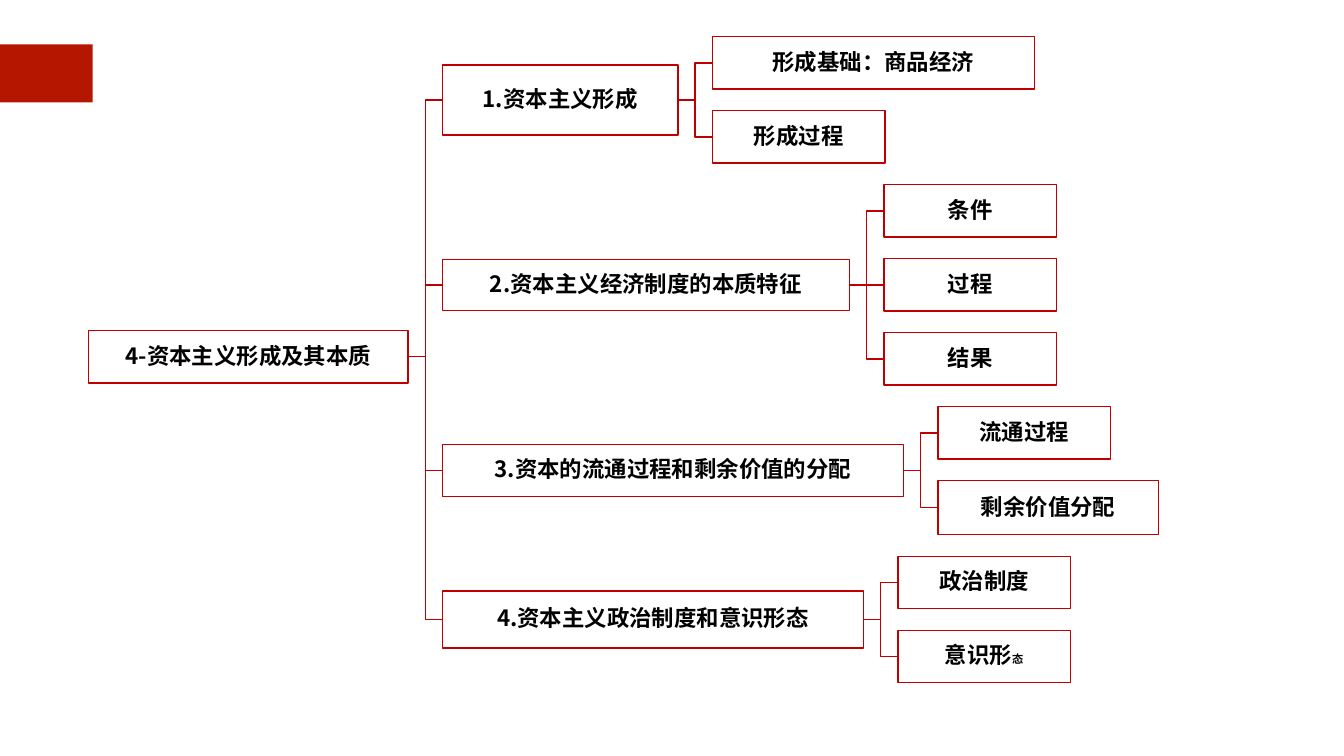
from lxml import etree
from pptx import Presentation
from pptx.dml.color import RGBColor
from pptx.enum.shapes import MSO_CONNECTOR, MSO_SHAPE
from pptx.enum.text import MSO_ANCHOR, PP_ALIGN
from pptx.oxml.ns import qn
from pptx.util import Cm, Pt

RECTANGLE = MSO_SHAPE.RECTANGLE
ELBOW, STRAIGHT = MSO_CONNECTOR.ELBOW, MSO_CONNECTOR.STRAIGHT
MIDDLE, CENTER = MSO_ANCHOR.MIDDLE, PP_ALIGN.CENTER
BANNER_RED = RGBColor(0xB5, 0x16, 0x00)
LINE_RED = RGBColor(0xC0, 0x00, 0x00)
WHITE = RGBColor(0xFF, 0xFF, 0xFF)
BLACK = RGBColor(0x00, 0x00, 0x00)
FONT = "Noto Sans CJK SC"

# Tree measures in centimetres
ROOT_LEFT, ROOT_MIDDLE, ROOT_WIDTH = 4.47, 17.98, 16.1
TOP = 1.85
COLUMN_GAP, ROW_GAP = 1.74, 1.09
HEIGHT, LEAF_WIDTH = 2.64, 8.69
LEFT_SITE, RIGHT_SITE = 1, 3

# Branch: text, width, height, leaves; leaf: text runs with sizes, width, height
BRANCHES = [
    ("1.资本主义形成", 11.86, 3.53, [
        ([("形成基础：商品经济", 32)], 16.23, HEIGHT),
        ([("形成过程", 32)], LEAF_WIDTH, HEIGHT)]),
    ("2.资本主义经济制度的本质特征", 20.5, 2.57, [
        ([("条件", 32)], LEAF_WIDTH, HEIGHT),
        ([("过程", 32)], LEAF_WIDTH, HEIGHT),
        ([("结果", 32)], LEAF_WIDTH, HEIGHT)]),
    ("3.资本的流通过程和剩余价值的分配", 23.22, 2.62, [
        ([("流通过程", 32)], LEAF_WIDTH, HEIGHT),
        ([("剩余价值分配", 32)], 11.13, 2.72)]),
    ("4.资本主义政治制度和意识形态", 21.21, 2.87, [
        ([("政治制度", 32)], LEAF_WIDTH, HEIGHT),
        ([("意识形", 32), ("态", 16)], LEAF_WIDTH, HEIGHT)]),
]

prs = Presentation()
prs.slide_width, prs.slide_height = Cm(67.74), Cm(38.1)
slide = prs.slides.add_slide(prs.slide_layouts[6])


def add_node(runs, left, middle, width, height):
    node = slide.shapes.add_shape(
        RECTANGLE, Cm(left), Cm(middle - height / 2), Cm(width), Cm(height))
    node.shadow.inherit = False
    node.fill.solid()
    node.fill.fore_color.rgb = WHITE
    node.line.color.rgb = LINE_RED
    node.line.width = Pt(2)
    frame = node.text_frame
    frame.word_wrap = True
    frame.vertical_anchor = MIDDLE
    frame.margin_left = frame.margin_right = Cm(0.05)
    frame.margin_top = frame.margin_bottom = Cm(0.05)
    label = frame.paragraphs[0]
    label.alignment = CENTER
    label.line_spacing = 0.9
    label.font.name = FONT
    label.font.bold = True
    label.font.color.rgb = BLACK
    # The Chinese characters take their typeface from a:ea
    defaults = label._p.pPr.find(qn("a:defRPr"))
    etree.SubElement(defaults, qn("a:ea")).set("typeface", FONT)
    if len(runs) == 1:
        label.font.size = Pt(runs[0][1])
    for text, size in runs:
        run = label.add_run()
        run.text = text
        if len(runs) > 1:
            run.font.size = Pt(size)
    return node


def link(parent, child, kind):
    connector = slide.shapes.add_connector(kind, 0, 0, 0, 0)
    connector.begin_connect(parent, RIGHT_SITE)
    connector.end_connect(child, LEFT_SITE)
    connector.line.color.rgb = LINE_RED
    connector.line.width = Pt(2)
    etree.SubElement(connector._element.spPr, qn("a:effectLst"))


# Red banner at the left edge
banner = slide.shapes.add_shape(RECTANGLE, Cm(-0.08), Cm(2.24), Cm(4.75), Cm(2.92))
banner.shadow.inherit = False
banner.fill.solid()
banner.fill.fore_color.rgb = BANNER_RED
banner.line.fill.background()

# Root topic
root = add_node([("4-资本主义形成及其本质", 32)],
                ROOT_LEFT, ROOT_MIDDLE, ROOT_WIDTH, HEIGHT)

# Leaves stack downwards; each branch is centred on its leaves
branch_left = ROOT_LEFT + ROOT_WIDTH + COLUMN_GAP
leaf_top = TOP
for text, width, height, leaves in BRANCHES:
    leaf_left = branch_left + width + COLUMN_GAP
    middles = []
    leaf_nodes = []
    for runs, leaf_width, leaf_height in leaves:
        middles.append(leaf_top + leaf_height / 2)
        leaf_nodes.append(
            add_node(runs, leaf_left, middles[-1], leaf_width, leaf_height))
        leaf_top += leaf_height + ROW_GAP
    branch_middle = (middles[0] + middles[-1]) / 2
    branch = add_node([(text, 32)], branch_left, branch_middle, width, height)
    link(root, branch, ELBOW)
    for leaf, middle in zip(leaf_nodes, middles):
        level = abs(middle - branch_middle) < 0.01
        link(branch, leaf, STRAIGHT if level else ELBOW)

prs.save("out.pptx")
